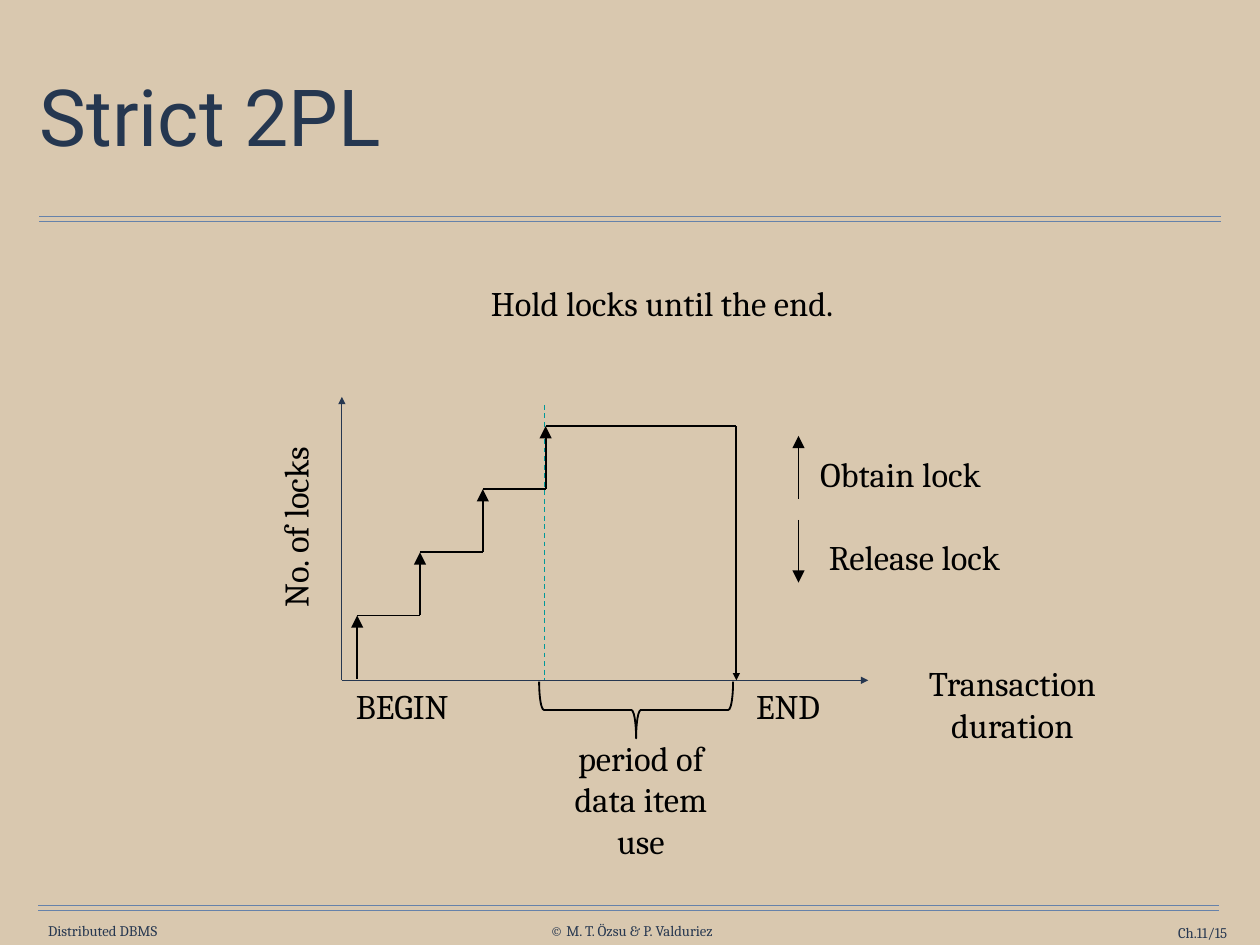
from lxml import etree
from pptx import Presentation
from pptx import util as u
from pptx.dml.color import RGBColor
from pptx.enum import dml, shapes, text
from pptx.oxml.ns import qn

COLORS = {
    "sand": "D9C8AF",
    "navy": "263750",
    "title": "253750",
    "rule": "6682AA",
    "teal": "009999",
    "ink": "000000",
}
LABEL_INSETS = (0.36, 0.18)
STEPS = 4
STEP_W, STEP_H = 1.8, 1.81
FIRST_X, BASE_Y = 10.24, 19.46
AXIS_X, AXIS_Y = 9.8, 19.51
END_X = 21.11
LEGEND_X = 22.89


def color(name):
    return RGBColor.from_string(COLORS[name])


def write(sp, words, size=28, font="Cambria", fill="ink", align="CENTER",
          anchor="TOP", insets=LABEL_INSETS, wrap=False, grow=True, spacing=None):
    tf = sp.text_frame
    tf.word_wrap = wrap
    fit = text.MSO_AUTO_SIZE
    tf.auto_size = fit.SHAPE_TO_FIT_TEXT if grow else fit.NONE
    tf.vertical_anchor = text.MSO_ANCHOR[anchor]
    tf.margin_left = tf.margin_right = u.Cm(insets[0])
    tf.margin_top = tf.margin_bottom = u.Cm(insets[1])
    for i, row in enumerate(words.split("\n")):
        p = tf.add_paragraph() if i else tf.paragraphs[0]
        p.alignment = text.PP_ALIGN[align]
        if spacing:
            p.line_spacing = spacing
        r = p.add_run()
        r.text = row
        r.font.size = u.Pt(size)
        r.font.name = font
        r.font.color.rgb = color(fill)


def add_label(s, words, x, y, w, h=1.55, rotation=0, **style):
    sp = s.shapes.add_textbox(u.Cm(x), u.Cm(y), u.Cm(w), u.Cm(h))
    sp.rotation = rotation
    write(sp, words, **style)


def add_line(s, x1, y1, x2, y2, stroke="ink", width=1.5, head=None, dashed=False):
    ln = s.shapes.add_connector(shapes.MSO_CONNECTOR.STRAIGHT,
                                u.Cm(x1), u.Cm(y1), u.Cm(x2), u.Cm(y2))
    ln.line.color.rgb = color(stroke)
    ln.line.width = u.Pt(width)
    if dashed:
        ln.line.dash_style = dml.MSO_LINE.DASH
    if head:
        etree.SubElement(ln.line._get_or_add_ln(), qn("a:tailEnd"),
                         type="triangle", w=head, len=head)
    etree.SubElement(ln._element.spPr, qn("a:effectLst"))


def add_title(s, words):
    sp = s.shapes.title
    sp.left, sp.top, sp.width, sp.height = (u.Cm(v) for v in (0.99, 1.24, 34.14, 4.47))
    write(sp, words, size=64, font="Roboto", fill="title", align="LEFT",
          anchor="MIDDLE", insets=(0.15, 0.15), wrap=True, grow=False, spacing=0.9)


def add_frame(s):
    for left, right, top in ((1.12, 35, 6.2), (1.09, 34.95, 25.96)):
        for y in (top, top + 0.15):
            add_line(s, left, y, right, y, stroke="rule", width=1)
    for words, x, y, w, align, wrap in (
        ("Distributed DBMS", 1.19, 26.44, 3.51, "CENTER", False),
        ("© M. T. Özsu & P. Valduriez", 15.47, 26.44, 5.28, "CENTER", False),
        ("Ch.11/15", 31.27, 26.49, 3.91, "RIGHT", True),
    ):
        add_label(s, words, x, y, w, 0.51, size=12, fill="navy", align=align,
                  anchor="MIDDLE", insets=(0, 0), wrap=wrap)


def add_axes(s):
    add_line(s, 15.6, 11.61, 15.6, AXIS_Y, stroke="teal", width=1, dashed=True)
    for x, y in ((24.89, AXIS_Y), (AXIS_X, 11.38)):
        add_line(s, AXIS_X, AXIS_Y, x, y, stroke="navy", width=1, head="med")


def add_lock_steps(s):
    for i in range(STEPS):
        x = FIRST_X + i * STEP_W
        low = BASE_Y - i * STEP_H
        high = low - STEP_H
        next_x = x + STEP_W if i < STEPS - 1 else END_X
        add_line(s, x, low, x, high, head="lg")
        add_line(s, x, high, next_x, high)
    add_line(s, END_X, high, END_X, AXIS_Y, head="med")


def add_legend(s):
    for start, end in ((14.3, 12.5), (14.91, 16.71)):
        add_line(s, LEGEND_X, start, LEGEND_X, end, head="lg")
    add_label(s, "Obtain lock", 22.89, 12.8, 5.84)
    add_label(s, "Release lock", 23.14, 15.19, 6.15)


def add_brace(s):
    sp = s.shapes.add_shape(shapes.MSO_SHAPE.RIGHT_BRACE,
                            u.Cm(17.42), u.Cm(17.58), u.Cm(1.63), u.Cm(5.56))
    sp.rotation = 90
    sp.shadow.inherit = False
    sp.fill.background()
    sp.line.color.rgb = color("ink")
    sp.line.width = u.Pt(1.5)


def main():
    prs = Presentation()
    prs.slide_width, prs.slide_height = u.Cm(36.12), u.Cm(27.1)
    s = prs.slides.add_slide(prs.slide_layouts[5])
    s.background.fill.solid()
    s.background.fill.fore_color.rgb = color("sand")

    add_frame(s)
    add_title(s, "Strict 2PL")
    add_label(s, "Hold locks until the end.", 5.66, 7.85, 26.64, 1.5,
              insets=(0.25, 0.1), wrap=True, spacing=1.11)
    add_axes(s)
    add_lock_steps(s)
    add_legend(s)
    add_brace(s)
    add_label(s, "No. of locks", 5.46, 14.35, 5.99, rotation=270)
    add_label(s, "BEGIN", 9.6, 19.48, 3.86)
    add_label(s, "END", 21.13, 19.48, 2.92)
    add_label(s, "Transaction\nduration", 26.11, 18.82, 5.82, 2.84)
    add_label(s, "period of\ndata item\nuse", 15.93, 20.96, 4.88, 4.04)

    prs.save("out.pptx")


if __name__ == "__main__":
    main()
